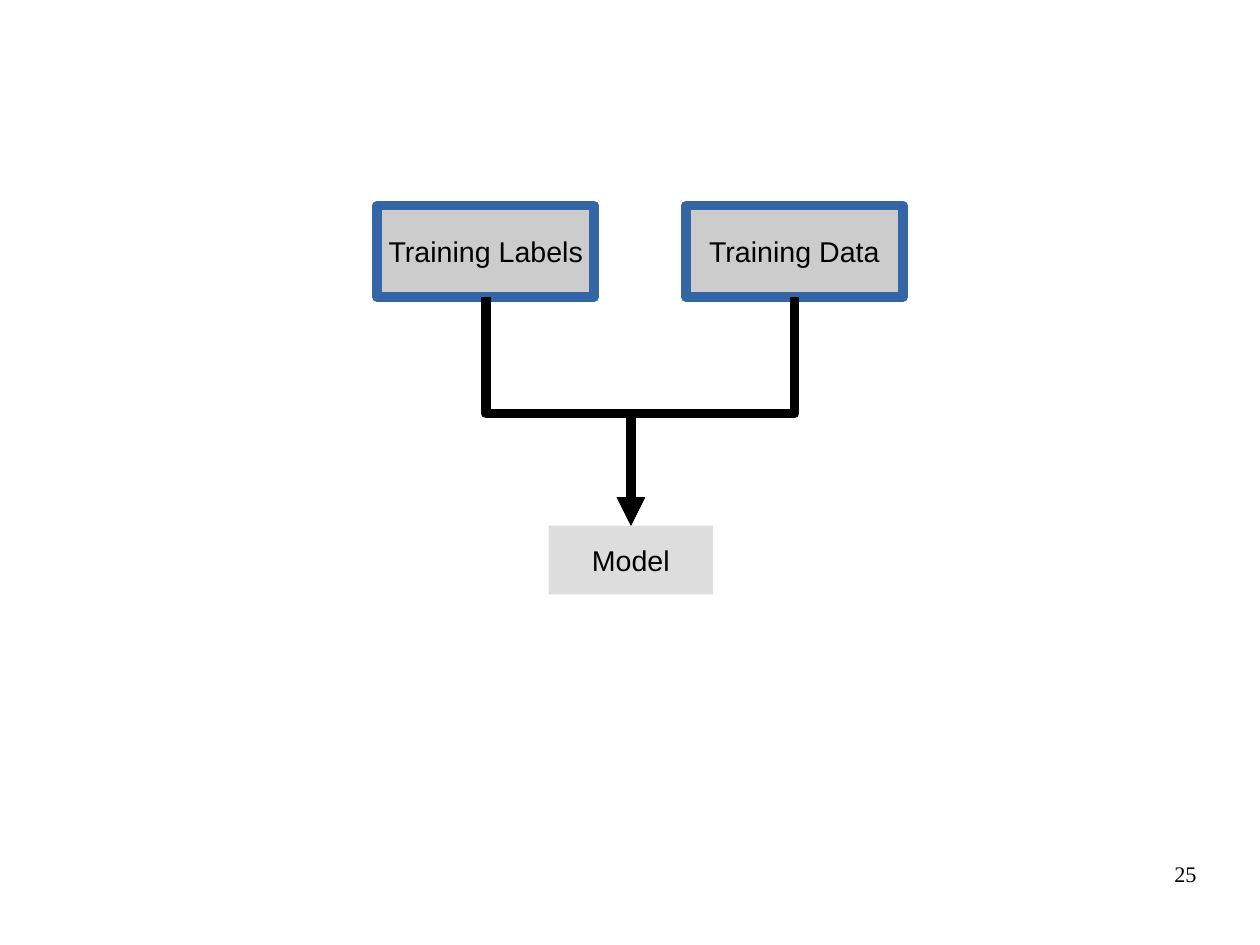
import lxml.etree
import pptx
import pptx.dml.color
import pptx.enum.shapes
import pptx.enum.text
import pptx.oxml.ns
import pptx.util

Pt = pptx.util.Pt
ALIGN = pptx.enum.text.PP_ALIGN
COLORS = {"data": "CCCCCC", "model": "DDDDDD", "border": "3465A4", "ink": "000000"}


def color(name):
    return pptx.dml.color.RGBColor.from_string(COLORS[name])


def add_element(parent, tag, **attributes):
    return lxml.etree.SubElement(parent, pptx.oxml.ns.qn(tag), **attributes)


def write_text(frame, text, size=18, font="Arial", align=ALIGN.CENTER,
               anchor=pptx.enum.text.MSO_ANCHOR.MIDDLE, margins=(0, 0), wrap=False):
    frame.word_wrap = wrap
    frame.vertical_anchor = anchor
    frame.margin_left = frame.margin_right = Pt(margins[0])
    frame.margin_top = frame.margin_bottom = Pt(margins[1])
    paragraph = frame.paragraphs[0]
    paragraph.alignment = align
    run = paragraph.add_run()
    run.text = text
    run.font.size = Pt(size)
    run.font.name = font
    run.font.color.rgb = color("ink")


class Diagram:
    line_width = 6

    def __init__(self, slide):
        self.slide = slide

    def style_line(self, line, name):
        line.color.rgb = color(name)
        line.width = Pt(self.line_width)
        properties = line._get_or_add_ln()
        add_element(properties, "a:round")
        return properties

    def box(self, text, left, top, width, height, fill, border=None, margins=(7.2, 3.6)):
        shape = self.slide.shapes.add_shape(
            pptx.enum.shapes.MSO_SHAPE.RECTANGLE, Pt(left), Pt(top), Pt(width), Pt(height))
        shape.shadow.inherit = False
        shape.fill.solid()
        shape.fill.fore_color.rgb = color(fill)
        if border:
            self.style_line(shape.line, border)
        else:
            shape.line.fill.background()
        write_text(shape.text_frame, text, margins=margins)
        return shape

    def elbow_arrow(self, source, target, bend):
        start_x = source.left + source.width // 2
        start_y = source.top + source.height
        end_x = target.left + target.width // 2
        end_y = target.top
        from_right = start_x > end_x
        center_x, center_y = (start_x + end_x) // 2, (start_y + end_y) // 2
        half_length, half_span = (end_y - start_y) // 2, abs(end_x - start_x) // 2
        direction = 1 if from_right else -1
        connector = self.slide.shapes.add_connector(
            pptx.enum.shapes.MSO_CONNECTOR.ELBOW,
            center_x - direction * half_length, center_y - half_span,
            center_x + direction * half_length, center_y + half_span)
        properties = connector._element.spPr
        properties.xfrm.set("rot", str((90 if from_right else 270) * 60000))
        guides = properties.find(pptx.oxml.ns.qn("a:prstGeom")).get_or_add_avLst()
        add_element(guides, "a:gd", name="adj1", fmla=f"val {round(bend * 100000)}")
        line = self.style_line(connector.line, "ink")
        add_element(line, "a:tailEnd", type="triangle")
        add_element(properties, "a:effectLst")

    def page_number(self, text, left, top, width, height):
        shape = self.slide.shapes.add_textbox(Pt(left), Pt(top), Pt(width), Pt(height))
        write_text(shape.text_frame, text, size=14, font="Times New Roman",
                   align=ALIGN.RIGHT, anchor=pptx.enum.text.MSO_ANCHOR.TOP, wrap=True)


def main():
    presentation = pptx.Presentation()
    presentation.slide_width = Pt(793.7)
    presentation.slide_height = Pt(595.28)
    diagram = Diagram(presentation.slides.add_slide(presentation.slide_layouts[6]))

    inputs = [
        diagram.box(text, left, 129.6, 136.8, 57.6, "data", border="border", margins=(10.2, 6.6))
        for text, left in (("Training Data", 432), ("Training Labels", 237.6))
    ]
    model = diagram.box("Model", 345.6, 331.2, 103.68, 43.2, "model")
    for source in inputs:
        diagram.elbow_arrow(source, model, bend=0.51)
    diagram.page_number("25", 568.8, 542.2, 185, 41)

    presentation.save("out.pptx")


if __name__ == "__main__":
    main()
